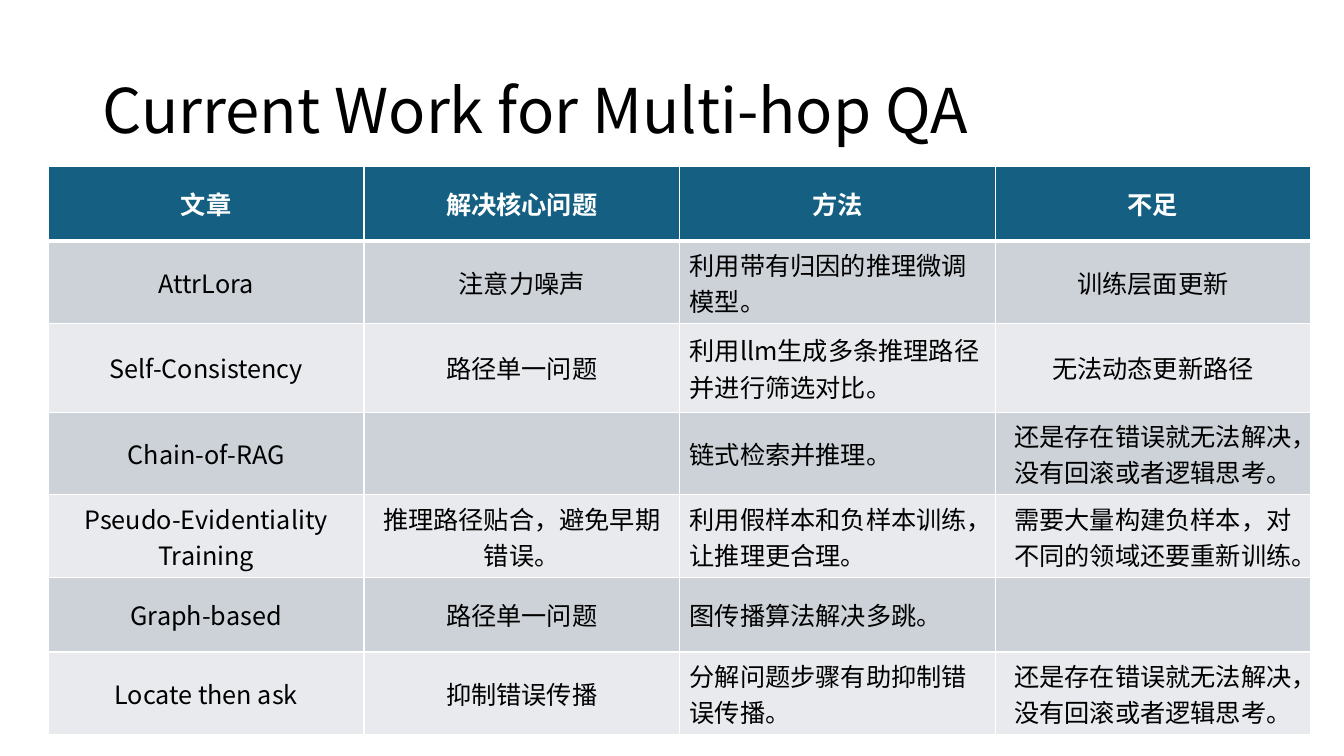
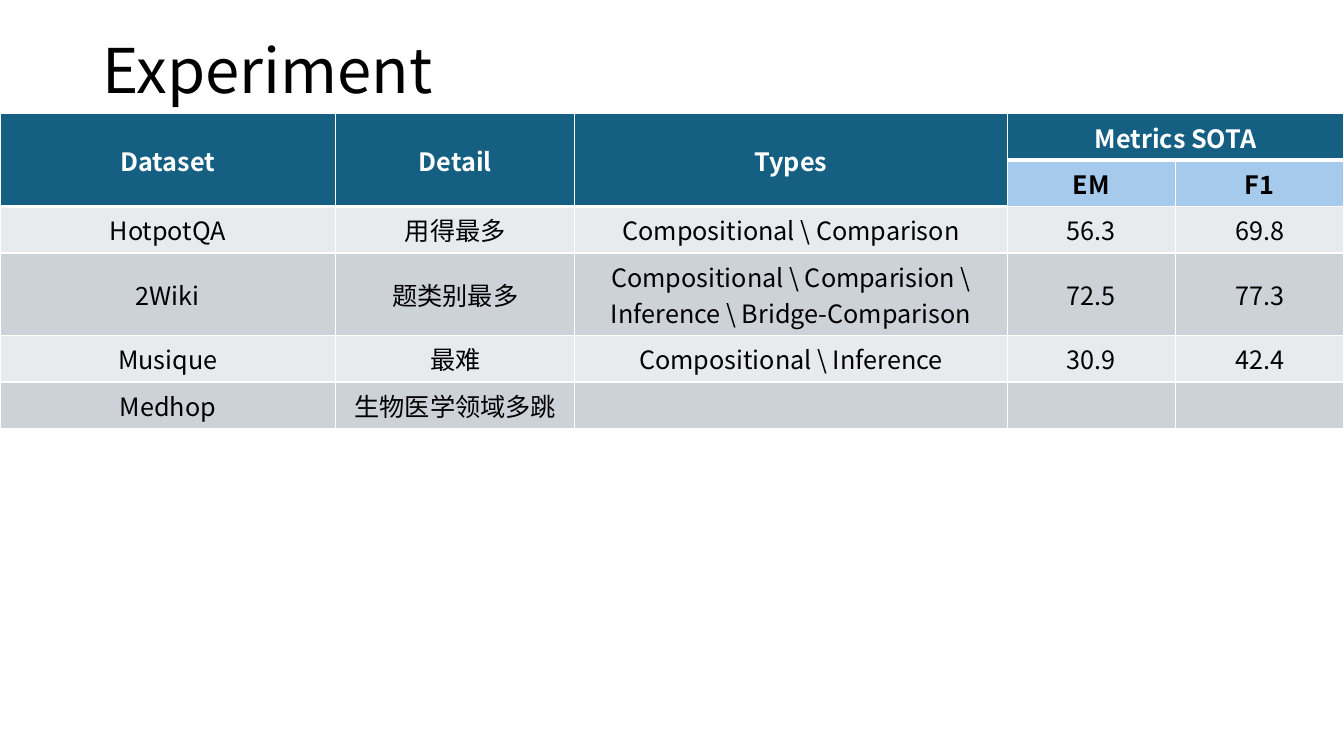
"""Build two slides comparing multi-hop QA methods and datasets."""
from lxml import etree
from pptx import Presentation
from pptx import util as u
from pptx.dml.color import RGBColor
from pptx.enum import text
from pptx.oxml.ns import qn

FONT = "Noto Sans CJK SC"
BLACK = RGBColor(0x00, 0x00, 0x00)
WHITE = RGBColor(0xFF, 0xFF, 0xFF)
TEAL = RGBColor(0x15, 0x60, 0x82)
SKY = RGBColor(0xA6, 0xCA, 0xEC)
GREY = RGBColor(0xCC, 0xD2, 0xD8)
PALE = RGBColor(0xE8, 0xEA, 0xED)
CENTER, LEFT = text.PP_ALIGN.CENTER, text.PP_ALIGN.LEFT
TWO_LINES = 0.82

METHODS = [
    ["文章", "解决核心问题", "方法", "不足"],
    ["AttrLora", "注意力噪声", "利用带有归因的推理微调模型。", "训练层面更新"],
    ["Self-Consistency", "路径单一问题", "利用llm生成多条推理路径并进行筛选对比。",
     "无法动态更新路径"],
    ["Chain-of-RAG", "", "链式检索并推理。",
     "还是存在错误就无法解决，没有回滚或者逻辑思考。"],
    ["Pseudo-Evidentiality Training", "推理路径贴合，避免早期错误。",
     "利用假样本和负样本训练，让推理更合理。",
     "需要大量构建负样本，对不同的领域还要重新训练。"],
    ["Graph-based", "路径单一问题", "图传播算法解决多跳。", ""],
    ["Locate then ask", "抑制错误传播", "分解问题步骤有助抑制错误传播。",
     "还是存在错误就无法解决，没有回滚或者逻辑思考。"],
]
DATASETS = [
    ["Dataset", "Detail", "Types", "Metrics SOTA", ""],
    ["", "", "", "EM", "F1"],
    ["HotpotQA", "用得最多", "Compositional \\ Comparison", "56.3", "69.8"],
    ["2Wiki", "题类别最多",
     "Compositional \\ Comparision \\ Inference \\ Bridge-Comparison", "72.5", "77.3"],
    ["Musique", "最难", "Compositional \\ Inference", "30.9", "42.4"],
    ["Medhop", "生物医学领域多跳", "", "", ""],
]
PAGES = [
    dict(title="Current Work for Multi-hop QA", title_top=0.4, rows=METHODS,
         left=0.48, top=1.65, widths=[3.13] * 4,
         heights=[0.74, TWO_LINES, 0.88, TWO_LINES, TWO_LINES, 0.74, TWO_LINES],
         left_column=2, merges=[], subheads=[]),
    dict(title="Experiment", title_top=0, rows=DATASETS,
         left=0, top=1.13, widths=[3.33, 2.37, 4.29, 1.67, 1.67],
         heights=[0.46, 0.46, 0.46, TWO_LINES, 0.46, 0.46],
         left_column=None,
         merges=[(0, 0, 1, 0), (0, 1, 1, 1), (0, 2, 1, 2), (0, 3, 0, 4)],
         subheads=[(1, 3), (1, 4)]),
]


def style(paragraph, size, color, align, bold=False):
    paragraph.alignment = align
    font = paragraph.font
    font.name, font.size, font.bold = FONT, u.Pt(size), bold
    font.color.rgb = color
    defaults = paragraph._p.pPr.find(qn("a:defRPr"))
    etree.SubElement(defaults, qn("a:ea"), typeface=FONT)


def add_borders(cell, top, bottom):
    properties = cell._tc.get_or_add_tcPr()
    for side, points in (("L", 1), ("R", 1), ("T", top), ("B", bottom)):
        line = etree.SubElement(properties, qn(f"a:ln{side}"), w=str(u.Pt(points)))
        fill = etree.SubElement(line, qn("a:solidFill"))
        etree.SubElement(fill, qn("a:srgbClr"), val=str(WHITE))


prs = Presentation()
prs.slide_width, prs.slide_height = u.Inches(13.33), u.Inches(7.5)

for page in PAGES:
    slide = prs.slides.add_slide(prs.slide_layouts[6])
    title = slide.shapes.add_textbox(u.Inches(0.92), u.Inches(page["title_top"]),
                                     u.Inches(11.5), u.Inches(1.45)).text_frame
    title.word_wrap = True
    title.vertical_anchor = text.MSO_ANCHOR.MIDDLE
    heading = title.paragraphs[0]
    heading.text = page["title"]
    heading.line_spacing = 0.9
    style(heading, 44, BLACK, LEFT)

    rows, widths, heights = page["rows"], page["widths"], page["heights"]
    table = slide.shapes.add_table(
        len(rows), len(widths), u.Inches(page["left"]), u.Inches(page["top"]),
        u.Inches(sum(widths)), u.Inches(sum(heights))).table
    for column, width in zip(table.columns, widths):
        column.width = u.Inches(width)
    for row, height in zip(table.rows, heights):
        row.height = u.Inches(height)

    head_cells = {(0, c) for c in range(len(widths))}
    for first_row, first_col, last_row, last_col in page["merges"]:
        table.cell(first_row, first_col).merge(table.cell(last_row, last_col))
        head_cells.add((last_row, last_col))

    for r, values in enumerate(rows):
        for c, value in enumerate(values):
            cell = table.cell(r, c)
            is_head = (r, c) in head_cells
            is_subhead = (r, c) in page["subheads"]
            below_head = (r - 1, c) in head_cells and not is_head
            add_borders(cell, 3 if below_head else 1, 3 if is_head else 1)
            cell.fill.solid()
            cell.fill.fore_color.rgb = (TEAL if is_head else SKY if is_subhead
                                        else GREY if r % 2 else PALE)
            cell.vertical_anchor = text.MSO_ANCHOR.MIDDLE
            entry = cell.text_frame.paragraphs[0]
            if value:
                entry.text = value
            align = LEFT if c == page["left_column"] and not is_head else CENTER
            style(entry, 18, WHITE if is_head else BLACK, align, is_head or is_subhead)

prs.save("out.pptx")
